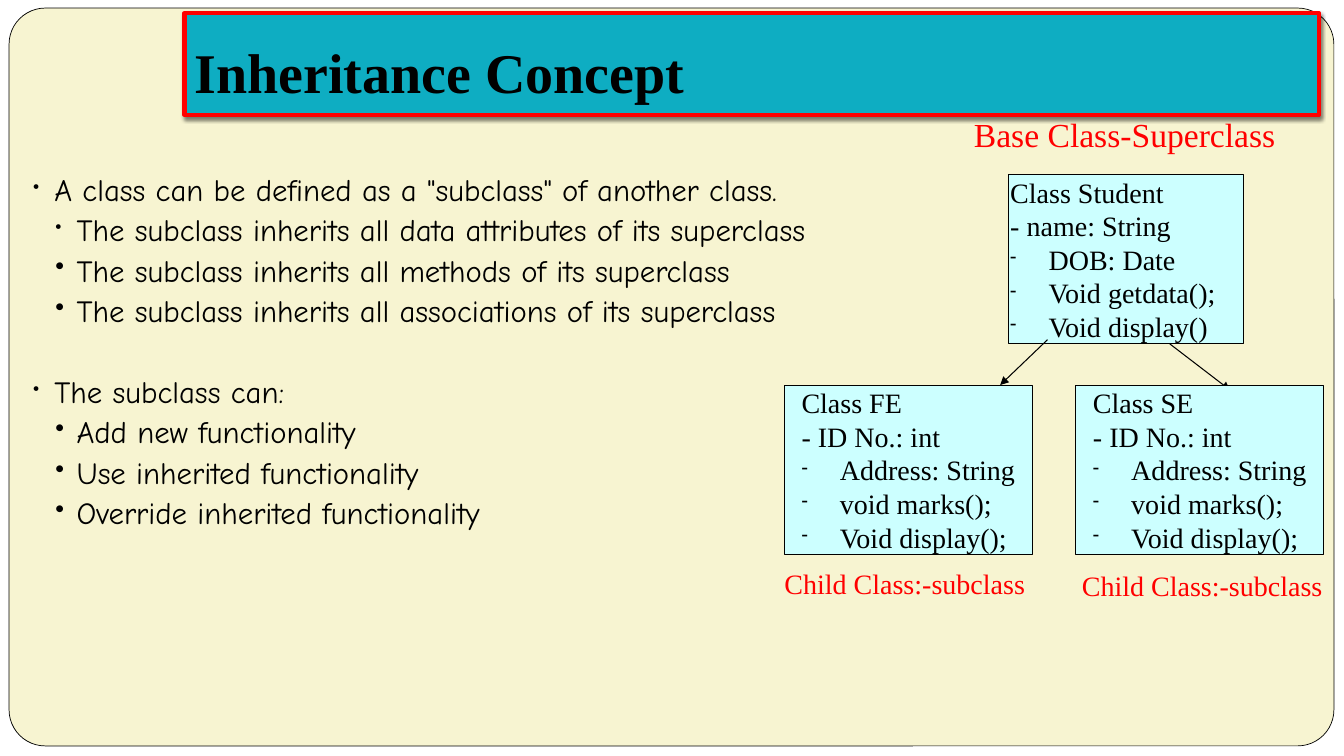
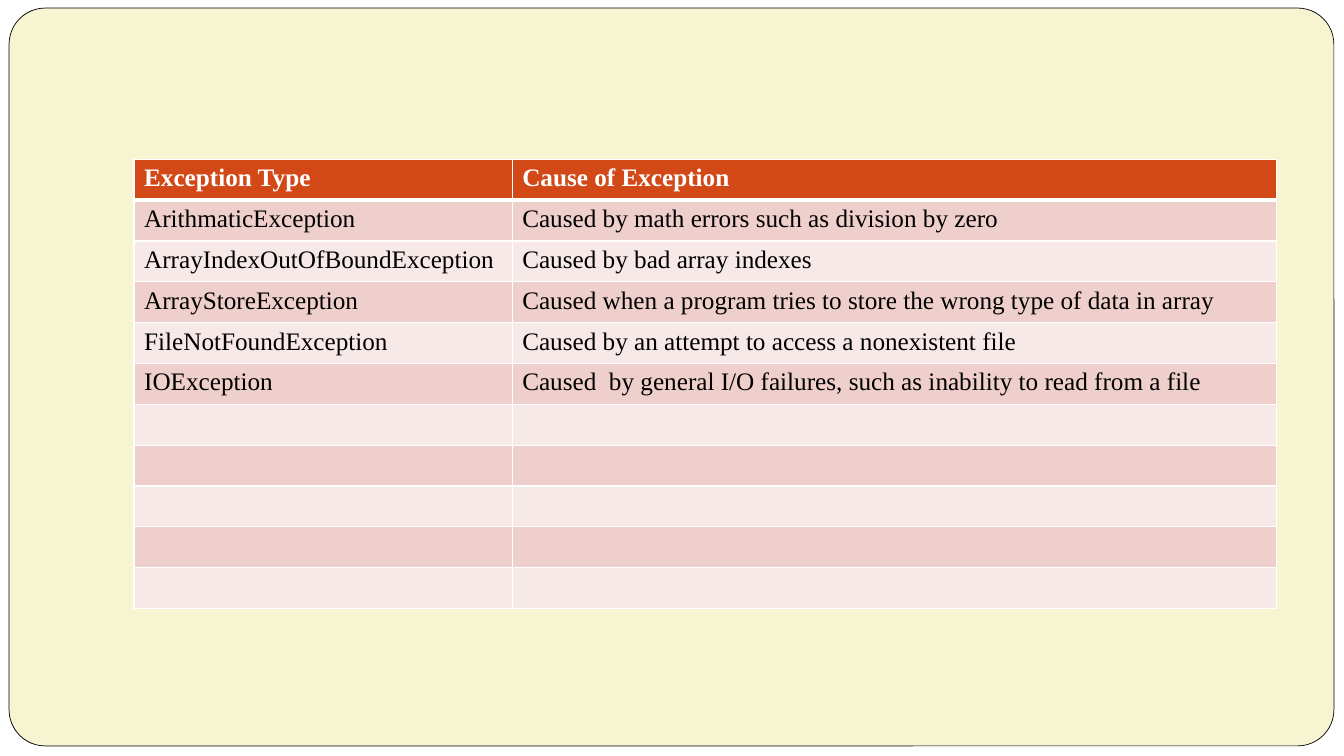
import dataclasses

import lxml.etree
import pptx
import pptx.dml.color
import pptx.enum.shapes
import pptx.enum.text
import pptx.oxml.ns
import pptx.util

Inches = pptx.util.Inches
Pt = pptx.util.Pt
qn = pptx.oxml.ns.qn


@dataclasses.dataclass(frozen=True)
class Theme:
    paper: str = "F7F4D1"
    white: str = "FFFFFF"
    ink: str = "000000"
    accent: str = "FF0000"
    title_fill: str = "0EADC2"
    card_fill: str = "CCFFFF"
    header_fill: str = "D34817"
    odd_row: str = "EFCFCC"
    even_row: str = "F7E9E8"
    serif: str = "Times New Roman"
    hand: str = "Comic Neue"
    title_size: float = 40
    heading_size: float = 24
    list_size: float = 22
    card_size: float = 20
    table_size: float = 18


def rgb(value):
    return pptx.dml.color.RGBColor.from_string(value)


def child(parent, tag, **attributes):
    return lxml.etree.SubElement(parent, qn(tag), {k: str(v) for k, v in attributes.items()})


class Builder:
    def __init__(self, theme):
        self.theme = theme
        self.page = None
        self.deck = pptx.Presentation()
        self.deck.slide_width = Inches(13.33)
        self.deck.slide_height = Inches(7.5)

    def add_page(self, layout_name):
        layout = self.deck.slide_layouts.get_by_name(layout_name)
        self.page = self.deck.slides.add_slide(layout)

    def add_master_frame(self):
        master = self.deck.slide_master
        master.background.fill.solid()
        master.background.fill.fore_color.rgb = rgb(self.theme.white)
        frame = self.add_panel(pptx.enum.shapes.MSO_SHAPE.ROUNDED_RECTANGLE,
                               (0.09, 0.08, 13.14, 7.32), self.theme.paper, 0.5)
        frame.adjustments[0] = 0.049
        frame.element.nvSpPr.cNvPr.set("id", "99")
        master.shapes.element.insert(2, frame.element)

    def paint(self, shape, fill, line, width):
        shape.fill.solid()
        shape.fill.fore_color.rgb = rgb(fill)
        shape.line.color.rgb = rgb(line)
        shape.line.width = Pt(width)
        shape.shadow.inherit = False

    def add_panel(self, kind, place, fill, width):
        panel = self.page.shapes.add_shape(kind, *map(Inches, place))
        self.paint(panel, fill, self.theme.ink, width)
        return panel

    def set_font(self, para, size, color, name=None, bold=False):
        para.font.name = name or self.theme.serif
        para.font.size = Pt(size)
        para.font.bold = bold
        para.font.color.rgb = rgb(color)

    def set_margins(self, box, left=0, top=0, right=0, bottom=0):
        frame = box.text_frame
        frame.margin_left, frame.margin_top = Inches(left), Inches(top)
        frame.margin_right, frame.margin_bottom = Inches(right), Inches(bottom)
        return frame

    def set_bullet(self, para, symbol, percent, left, hanging):
        props = para._p.get_or_add_pPr()
        props.set("marL", str(Inches(left)))
        props.set("indent", str(-Inches(hanging)))
        color = child(props, "a:buClr")
        child(color, "a:srgbClr", val=self.theme.ink)
        child(props, "a:buSzPct", val=percent * 1000)
        child(props, "a:buChar", char=symbol)

    def add_paragraphs(self, frame, lines):
        for index, line in enumerate(lines):
            para = frame.add_paragraph() if index else frame.paragraphs[0]
            para.text = line
            para.alignment = pptx.enum.text.PP_ALIGN.LEFT
            yield para

    def add_title(self, text, place):
        title = self.page.shapes.title
        title.left, title.top, title.width, title.height = map(Inches, place)
        self.paint(title, self.theme.title_fill, self.theme.accent, 3)
        shadow = child(title.element.spPr.find(qn("a:effectLst")), "a:outerShdw",
                       blurRad=Pt(3), dist=Pt(2), dir=90 * 60000, rotWithShape=0)
        color = child(shadow, "a:srgbClr", val=self.theme.ink)
        child(color, "a:alpha", val=50000)
        frame = self.set_margins(title, 0.1, 0.05, 0.1, 0.1)
        frame.auto_size = pptx.enum.text.MSO_AUTO_SIZE.NONE
        frame.vertical_anchor = pptx.enum.text.MSO_ANCHOR.BOTTOM
        for para in self.add_paragraphs(frame, [text]):
            self.set_font(para, self.theme.title_size, self.theme.ink, bold=True)

    def add_bullets(self, place, items):
        box = self.page.shapes.add_textbox(*map(Inches, place))
        frame = self.set_margins(box)
        frame.word_wrap = True
        paras = self.add_paragraphs(frame, [text for text, *_ in items])
        for para, (_, level, percent, gap) in zip(paras, items):
            para.level = level
            self.set_bullet(para, "•", percent, 0.21 + 0.22 * level, 0.21)
            para.space_before = Pt(2.5 + gap)
            self.set_font(para, self.theme.list_size, self.theme.ink, self.theme.hand)

    def add_class_card(self, place, lines, inset):
        card = self.add_panel(pptx.enum.shapes.MSO_SHAPE.RECTANGLE, place,
                              self.theme.card_fill, 0.75)
        frame = self.set_margins(card, left=inset)
        frame.word_wrap = True
        frame.vertical_anchor = pptx.enum.text.MSO_ANCHOR.MIDDLE
        for index, para in enumerate(self.add_paragraphs(frame, lines)):
            if index > 1:
                self.set_bullet(para, "-", 67, 0.38, 0.38)
            self.set_font(para, self.theme.card_size, self.theme.ink)

    def add_caption(self, place, text, size):
        box = self.page.shapes.add_textbox(*map(Inches, place))
        frame = self.set_margins(box)
        frame.word_wrap = False
        for para in self.add_paragraphs(frame, [text]):
            self.set_font(para, size, self.theme.accent)

    def add_arrow(self, start, end):
        arrow = self.page.shapes.add_connector(
            pptx.enum.shapes.MSO_CONNECTOR.STRAIGHT, *map(Inches, start + end))
        arrow.line.color.rgb = rgb(self.theme.ink)
        arrow.line.width = Pt(0.75)
        props = arrow.element.spPr
        child(props.find(qn("a:ln")), "a:tailEnd", type="triangle")
        child(props, "a:effectLst")

    def set_borders(self, cell, top, bottom):
        props = cell._tc.get_or_add_tcPr()
        for side, width in (("L", 1), ("R", 1), ("T", top), ("B", bottom)):
            line = child(props, f"a:ln{side}", w=Pt(width))
            fill = child(line, "a:solidFill")
            child(fill, "a:srgbClr", val=self.theme.white)

    def add_table(self, place, widths, rows, row_count):
        theme = self.theme
        table = self.page.shapes.add_table(row_count, len(widths), *map(Inches, place)).table
        for column, width in zip(table.columns, widths):
            column.width = Inches(width)
        for row_index, row in enumerate(table.rows):
            header = row_index == 0
            fill = theme.header_fill if header else (theme.even_row, theme.odd_row)[row_index % 2]
            texts = rows[row_index] if row_index < len(rows) else [""] * len(widths)
            for cell, text in zip(row.cells, texts):
                cell.text = text
                self.set_borders(cell, 3 if row_index == 1 else 1, 3 if header else 1)
                cell.fill.solid()
                cell.fill.fore_color.rgb = rgb(fill)
                self.set_font(cell.text_frame.paragraphs[0], theme.table_size,
                              theme.white if header else theme.ink, bold=header)


def build_inheritance(builder):
    theme = builder.theme
    builder.add_page("Title Only")
    builder.add_master_frame()
    builder.add_title("Inheritance Concept", (1.83, 0.13, 11.25, 1.01))
    builder.add_bullets((0.33, 1.69, 8.5, 3.93), [
        ('A class can be defined as a "subclass" of another class.', 0, 59, 0),
        ("The subclass inherits all data attributes of its superclass", 1, 59, 0),
        ("The subclass inherits all methods of its superclass", 1, 85, 0),
        ("The subclass inherits all associations of its superclass", 1, 85, 0),
        ("The subclass can:", 0, 59, 29),
        ("Add new functionality", 1, 85, 0),
        ("Use inherited functionality", 1, 85, 0),
        ("Override inherited functionality", 1, 85, 0),
    ])
    builder.add_caption((9.66, 1.13, 3.02, 0.4), "Base Class-Superclass", theme.heading_size)
    builder.add_class_card((10, 1.73, 2.33, 1.68), [
        "Class Student", "- name: String", "DOB: Date", "Void getdata();", "Void display()"], 0.02)
    builder.add_arrow((10.39, 3.37), (9.92, 3.82))
    builder.add_arrow((11.6, 3.41), (12.2, 3.87))
    for name, left, caption_left, caption_top in (("FE", 7.78, 7.78, 5.62),
                                                  ("SE", 10.67, 10.73, 5.64)):
        builder.add_class_card((left, 3.82, 2.46, 1.68), [
            f"Class {name}", "- ID No.: int", "Address: String", "void marks();",
            "Void display();"], 0.17)
        builder.add_caption((caption_left, caption_top, 2.4, 0.34),
                            "Child Class:-subclass", theme.card_size)


def build_exceptions(builder):
    builder.add_page("Blank")
    builder.add_table((1.33, 1.58, 11.33, 4.46), (3.75, 7.58), [
        ("Exception Type", "Cause of Exception"),
        ("ArithmaticException", "Caused by math errors such as division by zero"),
        ("ArrayIndexOutOfBoundException", "Caused by bad array indexes"),
        ("ArrayStoreException",
         "Caused when a program tries to store the wrong type of data in array"),
        ("FileNotFoundException", "Caused by an attempt to access a nonexistent file"),
        ("IOException", "Caused  by general I/O failures, such as inability to read from a file"),
    ], 11)


def main():
    builder = Builder(Theme())
    build_inheritance(builder)
    build_exceptions(builder)
    builder.deck.save("out.pptx")


if __name__ == "__main__":
    main()
